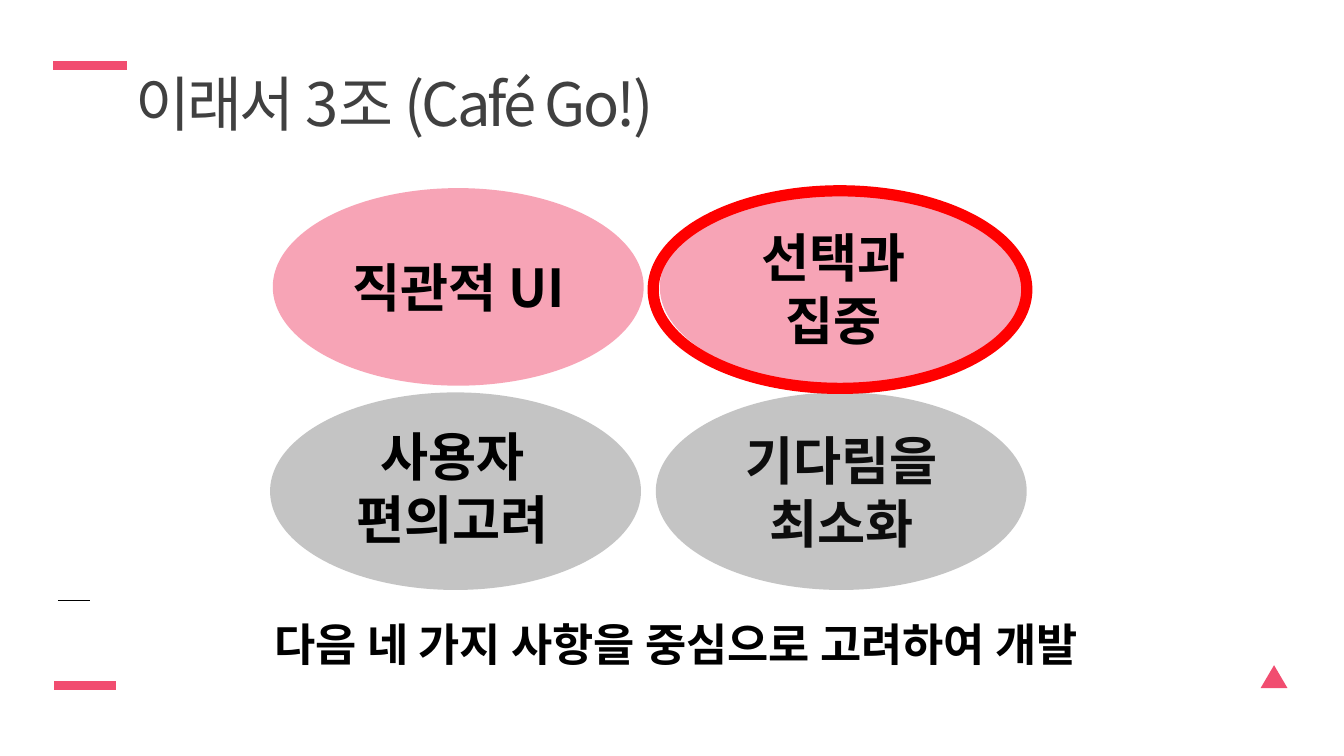
from lxml import etree
from pptx import Presentation
from pptx.dml.color import RGBColor
from pptx.enum.shapes import MSO_CONNECTOR, MSO_SHAPE
from pptx.enum.text import MSO_ANCHOR, PP_ALIGN
from pptx.oxml.ns import qn
from pptx.util import Inches, Pt

STRAIGHT = MSO_CONNECTOR.STRAIGHT
OVAL, TRIANGLE = MSO_SHAPE.OVAL, MSO_SHAPE.ISOSCELES_TRIANGLE
CENTER, LEFT = PP_ALIGN.CENTER, PP_ALIGN.LEFT
TOP, MIDDLE = MSO_ANCHOR.TOP, MSO_ANCHOR.MIDDLE

PINK = RGBColor(0xF1, 0x4D, 0x70)
GRAY = RGBColor(0x80, 0x80, 0x80)
RED = RGBColor(0xFF, 0x00, 0x00)
BLACK = RGBColor(0x00, 0x00, 0x00)
NEAR_BLACK = RGBColor(0x0D, 0x0D, 0x0D)
DARK_GRAY = RGBColor(0x40, 0x40, 0x40)
FONT = "Noto Sans CJK KR"

TITLE = "이래서 3조 (Café Go!)"
SUMMARY = "다음 네 가지 사항을 중심으로 고려하여 개발"
# left, top, length, color, points, cap
RULES = [
    (0.43, 0.49, 0.48, PINK, 4.75, "sq"),
    (0.43, 4.47, 0.24, BLACK, 0.5, "flat"),
    (0.43, 5.1, 0.4, PINK, 4.5, "sq"),
]
OVAL_SIZE = (2.76, 1.47)
# left, top, color, opacity in percent
OVALS = [
    (2.03, 1.4, PINK, 51),
    (4.91, 1.4, PINK, 51),
    (2.01, 2.92, GRAY, 46),
    (4.88, 2.92, GRAY, 46),
]
LAST_LABEL = ["기다림을", "최소화"]
# lines, left, top, height
LABELS = [
    (["직관적 UI"], 2.21, 1.85, 0.57),
    (["선택과", "집중"], 5, 1.63, 1.04),
    (["사용자", "편의고려"], 2.17, 3.11, 1.04),
]
LABEL_WIDTH = 2.4
HIGHLIGHT = (4.86, 1.42, 2.78, 1.47)
CORNER_MARK = (9.38, 4.95, 0.2, 0.17)


def write(shape, lines, size=28, color=BLACK, bold=True, align=CENTER,
          anchor=TOP, spacing=None):
    frame = shape.text_frame
    frame.word_wrap = True
    frame.vertical_anchor = anchor
    for index, line in enumerate(lines):
        para = frame.paragraphs[0] if index == 0 else frame.add_paragraph()
        para.alignment = align
        span = para.add_run()
        span.text = line
        font = span.font
        font.size, font.bold, font.name = Pt(size), bold, FONT
        font.color.rgb = color
        properties = span._r.get_or_add_rPr()
        properties.set("kern", "0")
        etree.SubElement(properties, qn("a:ea"), typeface=FONT)
        if spacing is not None:
            properties.set("spc", str(int(spacing * 100)))


def add_text(page, lines, bounds, **style):
    box = page.shapes.add_textbox(*map(Inches, bounds))
    write(box, lines, **style)


def add_rule(page, left, top, length, color, points, cap):
    rule = page.shapes.add_connector(
        STRAIGHT, *map(Inches, (left, top, left + length, top)))
    rule.line.color.rgb = color
    rule.line.width = Pt(points)
    properties = rule._element.spPr
    properties.find(qn("a:ln")).set("cap", cap)
    etree.SubElement(properties, qn("a:effectLst"))


def add_shape(page, kind, bounds, fill=None, opacity=100, outline=None, points=0):
    shape = page.shapes.add_shape(kind, *map(Inches, bounds))
    shape.shadow.inherit = False
    if fill is None:
        shape.fill.background()
    else:
        shape.fill.solid()
        shape.fill.fore_color.rgb = fill
        if opacity < 100:
            color = shape._element.spPr.find(qn("a:solidFill"))[0]
            etree.SubElement(color, qn("a:alpha"), val=str(opacity * 1000))
    if outline is None:
        shape.line.fill.background()
    else:
        shape.line.color.rgb = outline
        shape.line.width = Pt(points)
    return shape


def main():
    deck = Presentation()
    deck.slide_width = Inches(10)
    deck.slide_height = deck.slide_width * 9 // 16
    page = deck.slides.add_slide(deck.slide_layouts[6])

    for rule in RULES:
        add_rule(page, *rule)
    add_text(page, [TITLE], (0.91, 0.45, 6.3, 0.64), size=32,
             color=DARK_GRAY, bold=False, align=LEFT, spacing=-1.5)
    add_shape(page, TRIANGLE, CORNER_MARK, fill=PINK)

    ovals = [add_shape(page, OVAL, (left, top, *OVAL_SIZE), fill=color, opacity=opacity)
             for left, top, color, opacity in OVALS]
    write(ovals[-1], LAST_LABEL, color=NEAR_BLACK, anchor=MIDDLE)
    for lines, left, top, height in LABELS:
        add_text(page, lines, (left, top, LABEL_WIDTH, height))

    add_text(page, [SUMMARY], (1.39, 4.54, 7.28, 0.5), size=24)
    add_shape(page, OVAL, HIGHLIGHT, outline=RED, points=6)
    deck.save("out.pptx")


if __name__ == "__main__":
    main()
